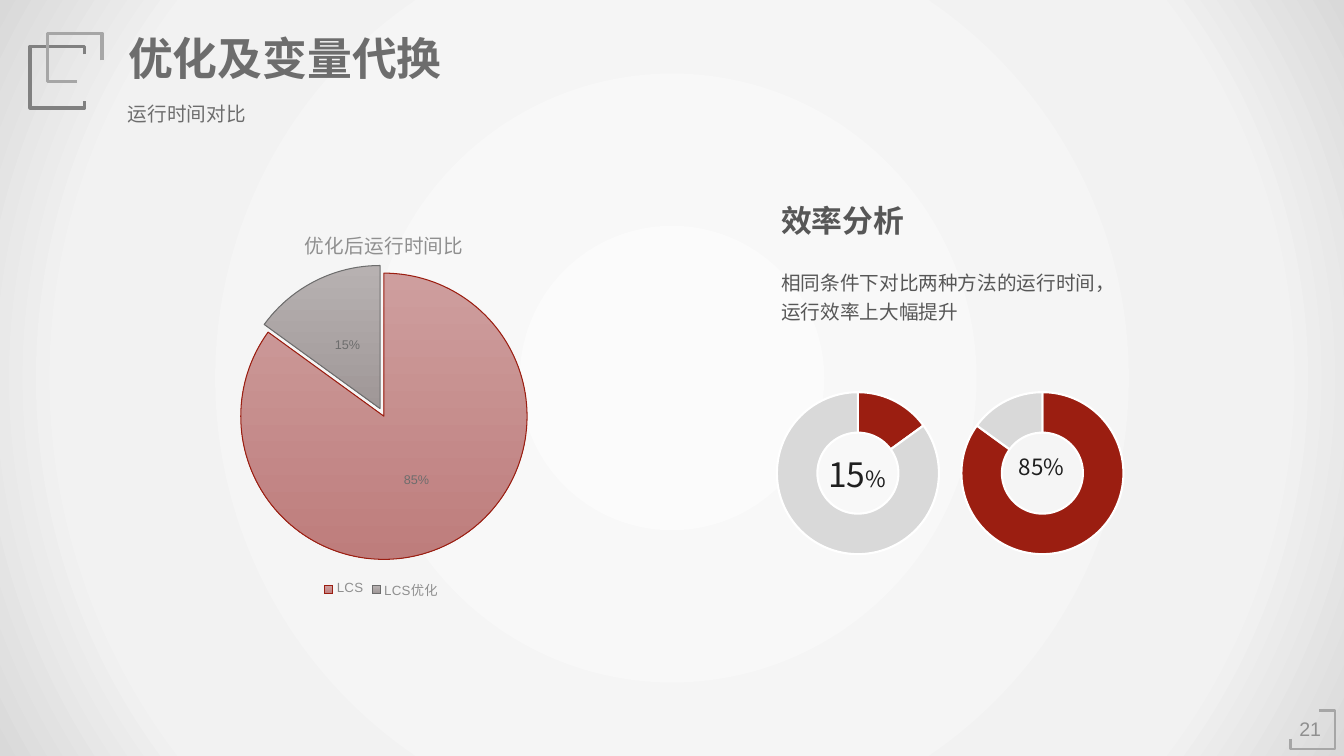
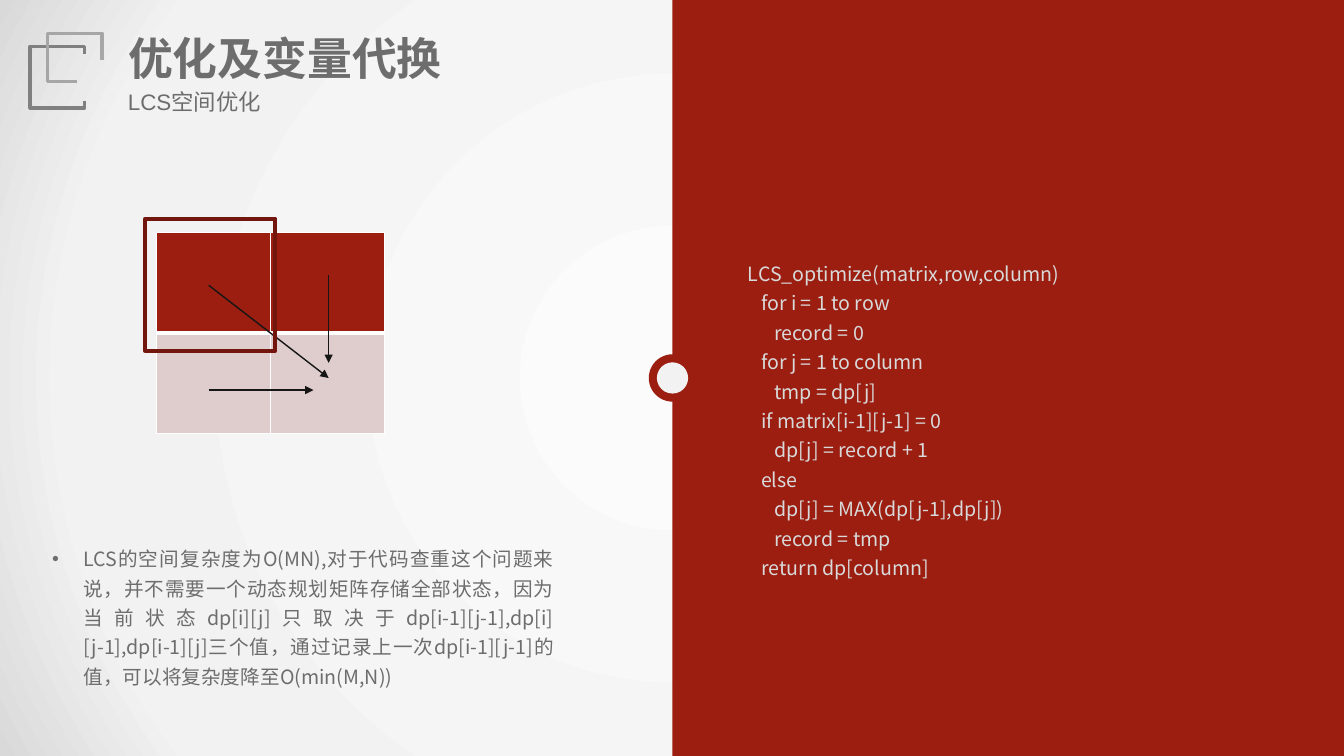
import pptx
import pptx.util
import pptx.oxml
import pptx.oxml.ns
import pptx.dml.color
import pptx.chart.data
import pptx.enum.chart
import pptx.enum.text
import pptx.enum.shapes

SCALE = 9144
WIDE, HIGH = 1333, 750
ARIAL, NOTO = "Arial", "Noto Sans CJK SC"
HUES = {
    "red": "9B1E11", "dark": "73160D", "pink": "DECDCC", "white": "FFFFFF",
    "pale": "D9D9D9", "light": "F2F2F2", "glow": "FBFBFB", "mid": "A6A6A6",
    "steel": "808080", "mute": "8F8F8F", "grey": "6D6D6D", "body": "575757",
    "ink": "1F1F1F", "black": "161616", "rose": "CE9E9E", "clay": "BE7D7C",
    "ash": "B7B1B1", "stone": "9F9797",
}
ALIGN = pptx.enum.text.PP_ALIGN
SHAPE = pptx.enum.shapes.MSO_SHAPE
KIND = pptx.enum.chart.XL_CHART_TYPE
NS = pptx.oxml.ns.nsdecls("a", "c")

CODE = [
    (0, "LCS_optimize(matrix,row,column)"),
    (1, "for i = 1 to row"),
    (2, "record = 0"),
    (1, "for j = 1 to column"),
    (2, "tmp = dp[j]"),
    (1, "if matrix[i-1][j-1] = 0"),
    (2, "dp[j] = record + 1"),
    (1, "else"),
    (2, "dp[j] = MAX(dp[j-1],dp[j])"),
    (2, "record = tmp"),
    (1, "return dp[column]"),
]
NOTE = ("LCS的空间复杂度为O(MN),对于代码查重这个问题来说，并不需要一个动态规划矩阵存储全部状态，"
        "因为当前状态dp[i][j]只取决于dp[i-1][j-1],dp[i][j-1],dp[i-1][j]三个值，"
        "通过记录上一次dp[i-1][j-1]的值，可以将复杂度降至O(min(M,N))")


def px(*nums):
    return [round(n * SCALE) for n in nums]


def rgb(hue):
    return pptx.dml.color.RGBColor.from_string(HUES[hue])


def put(obj, **vals):
    for key, val in vals.items():
        setattr(obj, key, val)


def node(text):
    head, tail = text.split(">", 1) if not text.split(">", 1)[0].endswith("/") else (text[:-2], "")
    return pptx.oxml.parse_xml(f"{head} {NS}>{tail}" if tail else f"{head} {NS}/>")


def ink(font, size, hue, name=NOTO, bold=False):
    put(font, name=name, size=pptx.util.Pt(size), bold=bold)
    font.color.rgb = rgb(hue)


def east(root):
    for latin in root.xpath(".//a:latin"):
        latin.addnext(node(f'<a:ea typeface="{NOTO}"/>'))


def edge(line, hue, width):
    line.color.rgb = rgb(hue)
    line.width = pptx.util.Pt(width)


def write(frame, runs, align=ALIGN.LEFT, space=None, wrap=True):
    put(frame, word_wrap=wrap, auto_size=pptx.enum.text.MSO_AUTO_SIZE.NONE,
        vertical_anchor=pptx.enum.text.MSO_ANCHOR.TOP)
    para = frame.paragraphs[0]
    put(para, alignment=align, line_spacing=space)
    for text, *look in runs:
        run = para.add_run()
        run.text = text
        ink(run.font, *look)
    return para


def label(slide, box, runs, **opts):
    frame = slide.shapes.add_textbox(*px(*box)).text_frame
    return write(frame, runs, **opts)


def block(slide, kind, box, fill=None, line=None, width=1):
    shape = slide.shapes.add_shape(kind, *px(*box))
    shape.shadow.inherit = False
    if fill:
        shape.fill.solid()
        shape.fill.fore_color.rgb = rgb(fill)
    else:
        shape.fill.background()
    if line:
        edge(shape.line, line, width)
    else:
        shape.line.fill.background()


def trace(slide, dots, hue, width):
    path = slide.shapes.build_freeform(*dots[0], scale=SCALE)
    path.add_line_segments(dots[1:], close=False)
    shape = path.convert_to_shape()
    shape.shadow.inherit = False
    shape.fill.background()
    edge(shape.line, hue, width)


def arrow(slide, ends):
    line = slide.shapes.add_connector(pptx.enum.shapes.MSO_CONNECTOR.STRAIGHT, *px(*ends))
    edge(line.line, "black", 1)
    line.line._get_or_add_ln().append(node('<a:tailEnd type="triangle"/>'))
    line.element.spPr.append(node("<a:effectLst/>"))


def glow(master):
    master.background.fill.gradient()
    old = master.element.xpath(".//p:bgPr/a:gradFill")[0]
    stops = "".join(
        f'<a:gs pos="{pos}000"><a:srgbClr val="{HUES[hue]}"/></a:gs>'
        for pos, hue in [(0, "glow"), (79, "light"), (100, "pale")])
    new = node(f'<a:gradFill rotWithShape="1"><a:gsLst>{stops}</a:gsLst><a:path path="circle">'
               '<a:fillToRect l="50000" t="50000" r="50000" b="50000"/></a:path></a:gradFill>')
    old.getparent().replace(old, new)


def corner(slide):
    trace(slide, [(84, 54), (84, 46), (30, 46), (30, 107), (84, 107), (84, 100)], "steel", 2.5)
    trace(slide, [(101, 60), (101, 33), (47, 33), (47, 81), (76, 81)], "mid", 2.5)


def folio(slide, num):
    label(slide, (1278, 706, 43, 36), [(num, 14, "mute", ARIAL)], align=ALIGN.CENTER, wrap=False)
    trace(slide, [(1280, 733), (1280, 743), (1324, 743), (1324, 705), (1308, 705)], "mid", 2)


def start(deck, sub, top, size):
    slide = deck.slides.add_slide(deck.slide_layouts[5])
    corner(slide)
    title = slide.shapes.title
    put(title, **dict(zip(("left", "top", "width", "height"), px(117, 25, 334, 64))))
    write(title.text_frame, [("优化及变量代换", 32, "grey", ARIAL, True)], wrap=False)
    label(slide, (117, top, 252, 37), [(sub, size, "grey", ARIAL)])
    return slide


def site(host, after, spots, inner=False):
    for old in host.xpath("./c:layout"):
        host.remove(old)
    aim = '<c:layoutTarget val="inner"/>' if inner else ""
    keys = list(zip("xywh", spots))
    modes = "".join(f'<c:{k}Mode val="edge"/>' for k, _ in keys if k in "xy")
    sizes = "".join(f'<c:{k} val="{v}"/>' for k, v in keys)
    host.insert(after, node(f"<c:layout><c:manualLayout>{aim}{modes}{sizes}</c:manualLayout></c:layout>"))


def chart(slide, kind, box, cats, vals, spots):
    data = pptx.chart.data.CategoryChartData()
    data.categories = cats
    data.add_series("Series 1", vals)
    made = slide.shapes.add_chart(kind, *px(*box), data).chart
    put(made, has_legend=False, has_title=False)
    ink(made.font, 10, "ink", ARIAL)
    made.plots[0].vary_by_categories = True
    site(made.element.xpath(".//c:plotArea")[0], 0, spots, True)
    return made, made.plots[0].series[0].points


def ring(slide, box, vals, runs):
    left, top, wide, high = box
    made, points = chart(slide, KIND.DOUGHNUT, box, ["1", "2"], vals, (0.08, 0.1, 0.85, 0.8))
    made.element.xpath(".//c:holeSize")[0].set("val", "65")
    for spot, hue in enumerate(["red", "pale"]):
        form = points[spot].format
        form.fill.solid()
        form.fill.fore_color.rgb = rgb(hue)
        edge(form.line, "white", 1.5)
    label(slide, (left + 8, top + 76, 174, 50), runs, align=ALIGN.CENTER)


def pie(slide, box):
    made, points = chart(slide, KIND.PIE, box, ["LCS", "LCS优化"], [85, 15],
                         (0.2, 0.18, 0.61, 0.71))
    for spot, hues in enumerate([("rose", "clay", "red"), ("ash", "stone", "grey")]):
        form = points[spot].format
        form.fill.gradient()
        form.fill.gradient_angle = 270
        for stop, hue in zip(form.fill.gradient_stops, hues):
            stop.color.rgb = rgb(hue)
        edge(form.line, hues[2], 0.75)
    made.element.xpath(".//c:dPt/c:spPr")[1].addprevious(node('<c:explosion val="6"/>'))
    plot = made.plots[0]
    plot.has_data_labels = True
    put(plot.data_labels, show_percentage=True, show_value=False, number_format="0%",
        number_format_is_linked=False, position=pptx.enum.chart.XL_LABEL_POSITION.CENTER)
    ink(plot.data_labels.font, 9, "grey", ARIAL)
    made.has_legend = True
    put(made.legend, position=pptx.enum.chart.XL_LEGEND_POSITION.BOTTOM, include_in_layout=False)
    ink(made.legend.font, 9.5, "mute", ARIAL)
    made.has_title = True
    run = made.chart_title.text_frame.paragraphs[0].add_run()
    run.text = "优化后运行时间比"
    ink(run.font, 14, "mute", ARIAL)
    site(made.element.xpath("./c:chart/c:title")[0], 1, (0.33, 0.06))
    east(made.element)


def border(cell, widths):
    props = cell._tc.get_or_add_tcPr()
    for spot, (side, width) in enumerate(zip("LRTB", widths)):
        props.insert(spot, node(
            f'<a:ln{side} w="{width * 12700}"><a:solidFill><a:srgbClr val="{HUES["white"]}"/>'
            f"</a:solidFill></a:ln{side}>"))


def grid(slide, box):
    left, top, wide, high = box
    table = slide.shapes.add_table(2, 2, *px(*box)).table
    for row, (hue, widths) in enumerate([("red", (1, 1, 1, 3)), ("pink", (1, 1, 3, 1))]):
        for col in range(2):
            cell = table.cell(row, col)
            cell.fill.solid()
            cell.fill.fore_color.rgb = rgb(hue)
            border(cell, widths)
    for ends in [(52, 52, 171, 144), (171, 42, 171, 129), (52, 156, 156, 156)]:
        arrow(slide, [n + (left, top)[spot % 2] for spot, n in enumerate(ends)])
    block(slide, SHAPE.RECTANGLE, (left - 11, top - 14, 129, 131), line="dark", width=3)


def panel(slide, box):
    left, top, wide, high = box
    block(slide, SHAPE.RECTANGLE, box, "red")
    for size, hue in [(47, "red"), (31, "light")]:
        block(slide, SHAPE.OVAL, (left - size / 2, top + (high - size) / 2, size, size), hue)
    frame = slide.shapes.add_textbox(*px(left + 65, top + 249, 436, 331)).text_frame
    frame.word_wrap = True
    for spot, (depth, text) in enumerate(CODE):
        para = frame.add_paragraph() if spot else frame.paragraphs[0]
        para.line_spacing = 1.25
        para._p.get_or_add_pPr().set("marL", str(depth * 13 * SCALE))
        run = para.add_run()
        run.text = text
        ink(run.font, 14, "pale")


def times(deck):
    slide = start(deck, "运行时间对比", 96, 14)
    folio(slide, "21")
    label(slide, (765, 195, 305, 47), [("效率分析", 22, "body", NOTO, True)])
    label(slide, (765, 258, 352, 66),
          [("相同条件下对比两种方法的运行时间，运行效率上大幅提升", 14, "body")], space=1.25)
    rings = [([15, 85], [("15", 24, "ink"), ("%", 16, "ink")]),
             ([85, 15], [("85%", 16, "ink")])]
    for spot, (vals, runs) in enumerate(rings):
        ring(slide, (755 + 183 * spot, 369, 190, 201), vals, runs)
    pie(slide, (143, 199, 471, 400))
    east(slide.element)


def room(deck):
    slide = start(deck, "LCS空间优化", 83, 16)
    panel(slide, (667, 0, 667, HIGH))
    para = label(slide, (42, 532, 517, 155), [(NOTE, 14, "grey")],
                 align=ALIGN.JUSTIFY, space=1.25)
    props = para._p.get_or_add_pPr()
    for key, val in {"marL": 31, "indent": -31}.items():
        props.set(key, str(val * SCALE))
    for text in ['<a:buFont typeface="Arial"/>', '<a:buChar char="•"/>']:
        props.append(node(text))
    grid(slide, (155, 231, 226, 199))
    east(slide.element)


def main():
    deck = pptx.Presentation()
    put(deck, **dict(zip(("slide_width", "slide_height"), px(WIDE, HIGH))))
    glow(deck.slide_master)
    times(deck)
    room(deck)
    deck.save("out.pptx")


if __name__ == "__main__":
    main()
